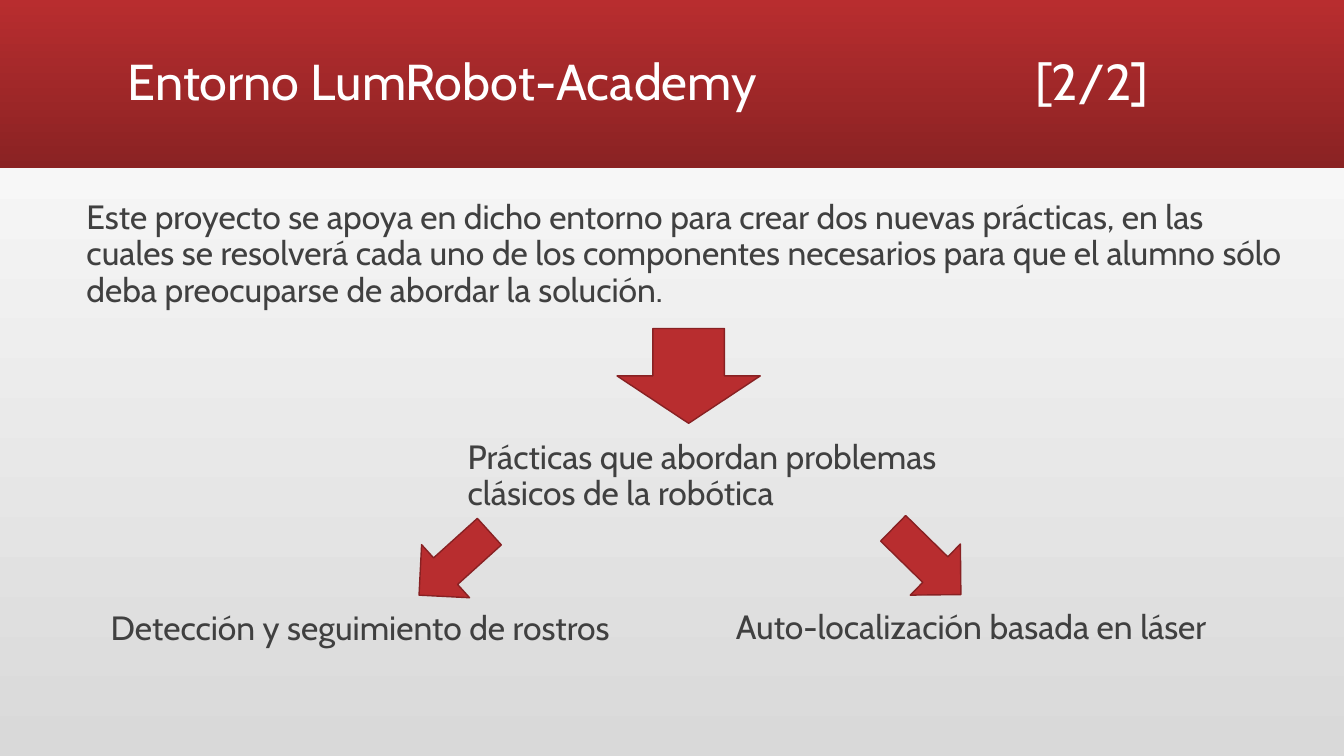
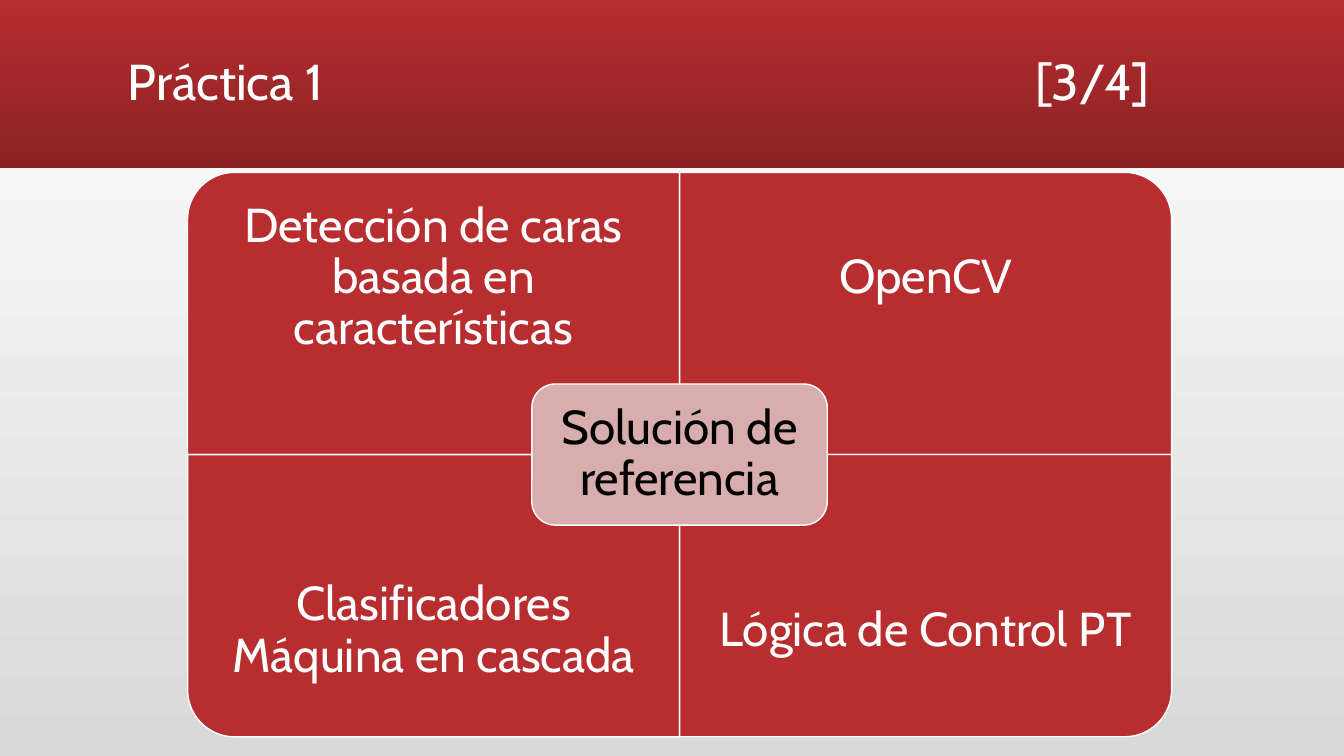
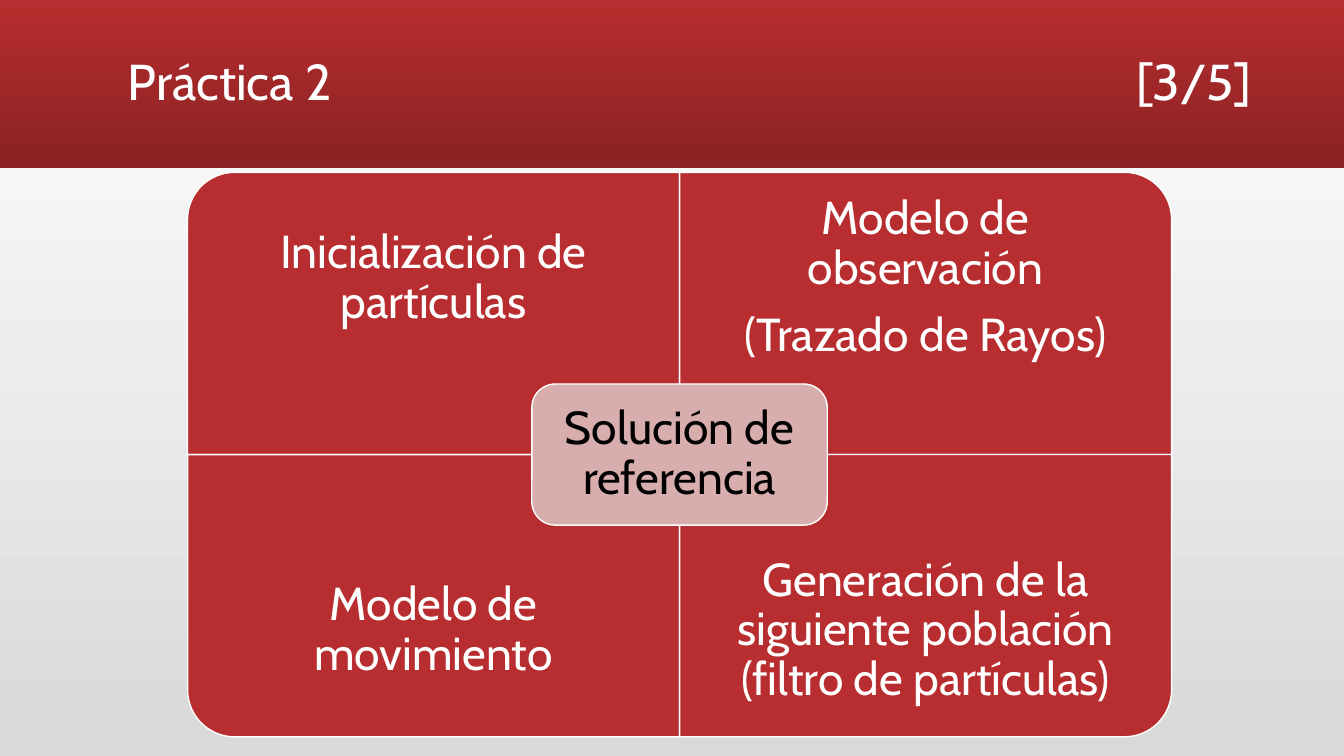
"""Build three slides about robotics practices: a flow of arrows and two quadrant diagrams."""
from lxml import etree
from pptx import Presentation
from pptx.dml.color import RGBColor
from pptx.enum.shapes import MSO_SHAPE
from pptx.enum.text import MSO_ANCHOR, PP_ALIGN
from pptx.oxml.ns import qn
from pptx.util import Inches, Pt

RECTANGLE = MSO_SHAPE.RECTANGLE
ROUNDED = MSO_SHAPE.ROUNDED_RECTANGLE
ROUND_ONE_CORNER = MSO_SHAPE.ROUND_1_RECTANGLE
DOWN_ARROW = MSO_SHAPE.DOWN_ARROW
TOP, MIDDLE = MSO_ANCHOR.TOP, MSO_ANCHOR.MIDDLE
LEFT, CENTER = PP_ALIGN.LEFT, PP_ALIGN.CENTER

FONT = "Cabin"
RED = RGBColor(0xB8, 0x2D, 0x2F)
DARK_RED = RGBColor(0x8A, 0x22, 0x23)
ARROW_EDGE = RGBColor(0x88, 0x21, 0x23)
PINK = RGBColor(0xD8, 0xAD, 0xAD)
WHITE = RGBColor(0xFF, 0xFF, 0xFF)
LIGHT_GRAY = RGBColor(0xD9, 0xD9, 0xD9)
TEXT_GRAY = RGBColor(0x40, 0x40, 0x40)
BLACK = RGBColor(0, 0, 0)

SLIDE_WIDTH, SLIDE_HEIGHT = 13.33, 7.5
GRID_CENTER_X, GRID_CENTER_Y = 6.74, 4.51
CELL_WIDTH, CELL_HEIGHT = 4.88, 2.8
CELL_TEXT_HEIGHT = 2.1
HUB_WIDTH, HUB_HEIGHT = 2.93, 1.4
CELLS = [(0, 0, 270), (1, 0, 0), (0, 1, 180), (1, 1, 90)]


def set_gradient(fill, start, end, angle):
    fill.gradient()
    fill.gradient_angle = angle
    for stop, color in zip(fill.gradient_stops, (start, end)):
        stop.color.rgb = color


def write(shape, text, size, color, align=LEFT, anchor=TOP, spacing=0.9, after=0, inset=None):
    frame = shape.text_frame
    frame.word_wrap = True
    frame.vertical_anchor = anchor
    if inset is not None:
        frame.margin_left = frame.margin_right = Inches(inset)
        frame.margin_top = frame.margin_bottom = Inches(inset)
    frame.text = text
    for paragraph in frame.paragraphs:
        paragraph.alignment = align
        paragraph.line_spacing = spacing
        paragraph.space_after = Pt(after)
        for run in paragraph.runs:
            run.font.name = FONT
            run.font.size = Pt(size)
            run.font.color.rgb = color


def add_text(slide, left, top, width, height, text, size, color, **style):
    box = slide.shapes.add_textbox(Inches(left), Inches(top), Inches(width), Inches(height))
    write(box, text, size, color, **style)
    return box


def add_block(slide, kind, left, top, width, height, fill, line, rotation=0):
    shape = slide.shapes.add_shape(kind, Inches(left), Inches(top), Inches(width), Inches(height))
    shape.shadow.inherit = False
    shape.fill.solid()
    shape.fill.fore_color.rgb = fill
    shape.line.color.rgb = line
    shape.line.width = Pt(1)
    shape.rotation = rotation
    return shape


def add_titled_slide(presentation, title, counter, counter_tab):
    slide = presentation.slides.add_slide(presentation.slide_layouts[6])
    set_gradient(slide.background.fill, LIGHT_GRAY, WHITE, 90)
    band = slide.shapes.add_shape(RECTANGLE, 0, 0, Inches(SLIDE_WIDTH), Inches(1.67))
    band.shadow.inherit = False
    band.line.fill.background()
    set_gradient(band.fill, RED, DARK_RED, 270)
    box = add_text(slide, 1.17, 0.11, 11.96, 1.45, f"{title}\t{counter}", 36, WHITE, anchor=MIDDLE)
    properties = box.text_frame.paragraphs[0]._p.get_or_add_pPr()
    tabs = etree.SubElement(properties, qn("a:tabLst"))
    etree.SubElement(tabs, qn("a:tab"), pos=str(Inches(counter_tab)), algn="l")
    return slide


def add_arrow(slide, left, top, width, rotation=0):
    add_block(slide, DOWN_ARROW, left, top, width, 0.94, RED, ARROW_EDGE, rotation)


def add_quadrants(slide, labels, size):
    style = {"align": CENTER, "anchor": MIDDLE, "after": 12}
    for (column, row, rotation), label in zip(CELLS, labels):
        left = GRID_CENTER_X + (column - 1) * CELL_WIDTH
        top = GRID_CENTER_Y + (row - 1) * CELL_HEIGHT
        width, height = CELL_WIDTH, CELL_HEIGHT
        if rotation % 180:
            width, height = height, width
        add_block(slide, ROUND_ONE_CORNER, left + (CELL_WIDTH - width) / 2,
                  top + (CELL_HEIGHT - height) / 2, width, height, RED, WHITE, rotation)
        text_top = top + row * (CELL_HEIGHT - CELL_TEXT_HEIGHT)
        add_text(slide, left, text_top, CELL_WIDTH, CELL_TEXT_HEIGHT, label, size, WHITE,
                 inset=0.26, **style)
    hub = add_block(slide, ROUNDED, GRID_CENTER_X - HUB_WIDTH / 2, GRID_CENTER_Y - HUB_HEIGHT / 2,
                    HUB_WIDTH, HUB_HEIGHT, PINK, WHITE)
    write(hub, "Solución de referencia", size, BLACK, inset=0.14, **style)


def add_environment_slide(presentation):
    slide = add_titled_slide(presentation, "Entorno LumRobot-Academy", "[2/2]", 9)
    add_text(slide, 0.76, 1.94, 12.13, 1.3,
             "Este proyecto se apoya en dicho entorno para crear dos nuevas prácticas, en las "
             "cuales se resolverá cada uno de los componentes necesarios para que el alumno sólo "
             "deba preocuparse de abordar la solución.", 24, TEXT_GRAY)
    add_text(slide, 4.54, 4.32, 5.25, 0.9,
             "Prácticas que abordan problemas clásicos de la robótica", 24, TEXT_GRAY)
    add_text(slide, 1, 5.97, 5.23, 0.5, "Detección y seguimiento de rostros", 24, TEXT_GRAY,
             spacing=1)
    add_text(slide, 7.2, 5.96, 5.22, 0.5, "Auto-localización basada en láser", 24, TEXT_GRAY,
             spacing=1)
    add_arrow(slide, 6.12, 3.26, 1.42)
    add_arrow(slide, 4.15, 5.12, 0.71, 47.9)
    add_arrow(slide, 8.84, 5.1, 0.71, 314.4)


def main():
    presentation = Presentation()
    presentation.slide_width = Inches(SLIDE_WIDTH)
    presentation.slide_height = Inches(SLIDE_HEIGHT)
    add_environment_slide(presentation)
    add_quadrants(add_titled_slide(presentation, "Práctica 1", "[3/4]", 9), [
        "Detección de caras basada en características",
        "OpenCV",
        "Clasificadores Máquina en cascada",
        "Lógica de Control PT",
    ], 34)
    add_quadrants(add_titled_slide(presentation, "Práctica 2", "[3/5]", 10), [
        "Inicialización de partículas",
        "Modelo de observación\n(Trazado de Rayos)",
        "Modelo de movimiento",
        "Generación de la siguiente población (filtro de partículas)",
    ], 33)
    presentation.save("out.pptx")


if __name__ == "__main__":
    main()
